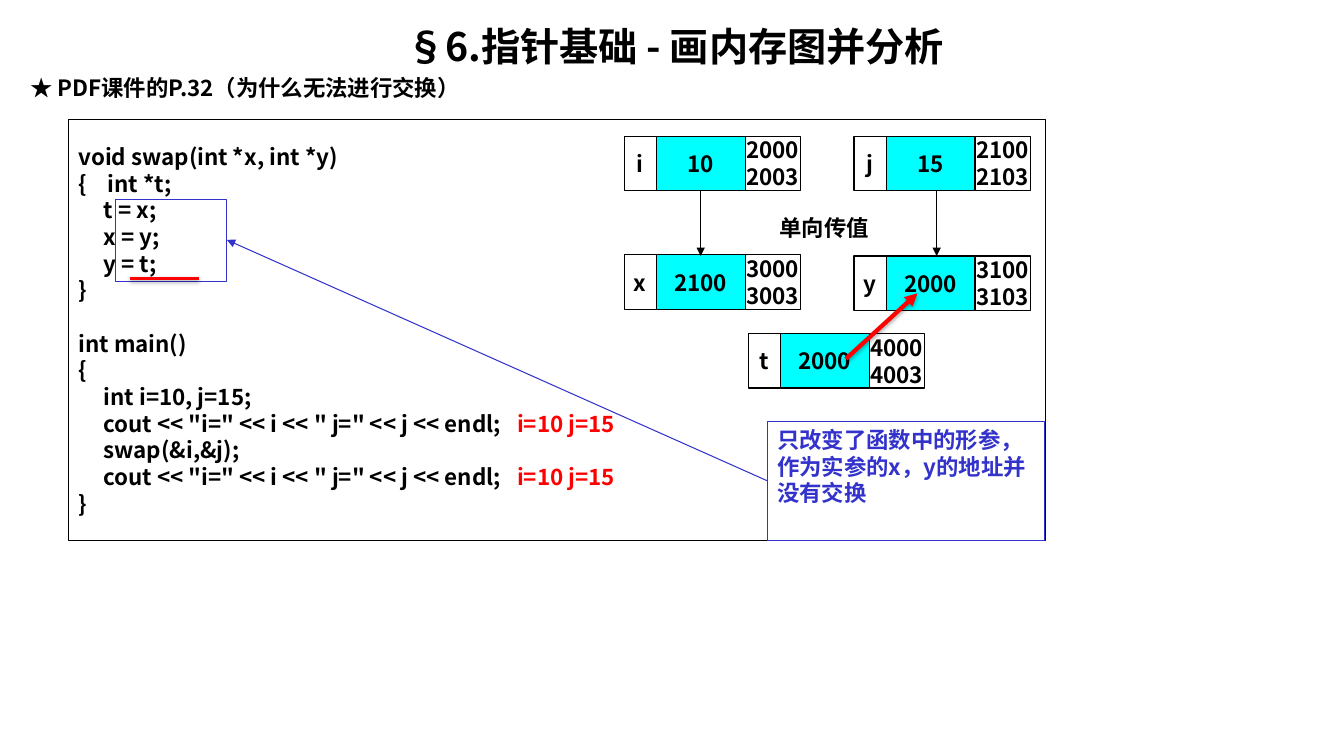
from dataclasses import dataclass
from typing import Any, NamedTuple

from lxml.etree import SubElement
from pptx import Presentation
from pptx.dml.color import RGBColor
from pptx.enum.shapes import MSO_CONNECTOR as Connector, MSO_SHAPE as Preset
from pptx.enum.text import MSO_ANCHOR as Anchor, MSO_AUTO_SIZE as AutoSize, PP_ALIGN as Align
from pptx.oxml.ns import qn
from pptx.util import Emu, Pt

EMU_PER_PX = 9144


@dataclass(frozen=True)
class Theme:
    black: str = "000000"
    red: str = "FF0000"
    blue: str = "3333CC"
    cyan: str = "00FFFF"
    font: str = "Noto Sans CJK SC"
    label_font: str = "Times New Roman"
    title_size: int = 28
    text_size: int = 16
    line_height: float = 1.19
    thin: float = 0.75


THEME = Theme()


class Box(NamedTuple):
    left: int
    top: int
    width: int
    height: int


class Line(NamedTuple):
    start: tuple[int, int]
    end: tuple[int, int]
    color: str = THEME.black
    weight: float = THEME.thin
    arrow: bool = True
    shadow: tuple[int, float] | None = None


class Variable(NamedTuple):
    name: str
    value: str
    first: str
    last: str
    left: int
    top: int


class CodeLine(NamedTuple):
    text: str
    stops: tuple[int, ...] = ()
    result: str = ""
    gap_above: bool = False


INDENT = (25, 435)
COUT = '\tcout << "i=" << i << " j=" << j << endl;'
RESULT = "i=10 j=15"
CODE = [
    CodeLine("void swap(int *x, int *y)"),
    CodeLine("{\tint *t;", (29,)),
    CodeLine("\tt = x;", INDENT),
    CodeLine("\tx = y;", INDENT),
    CodeLine("\ty = t;", INDENT),
    CodeLine("}"),
    CodeLine("int main()", gap_above=True),
    CodeLine("{"),
    CodeLine("\tint i=10, j=15;", INDENT),
    CodeLine(COUT, INDENT, RESULT),
    CodeLine("\tswap(&i,&j);", INDENT),
    CodeLine(COUT, INDENT, RESULT),
    CodeLine("}"),
]
VARIABLES = [
    Variable("i", "10", "2000", "2003", 619, 135),
    Variable("j", "15", "2100", "2103", 847, 135),
    Variable("x", "2100", "3000", "3003", 619, 253),
    Variable("y", "2000", "3100", "3103", 847, 254),
    Variable("t", "2000", "4000", "4003", 742, 331),
]
CELL_HEIGHT = 54
LINES = [
    Line((695, 189), (695, 254)),
    Line((929, 189), (929, 254)),
    Line((761, 477), (225, 238), THEME.blue),
    Line((129, 276), (197, 276), THEME.red, 2, False, (38, 1.6)),
    Line((839, 356), (910, 291), THEME.red, 3, True, (35, 1.8)),
]


def px(length: int) -> Emu:
    return Emu(length * EMU_PER_PX)


def apply(target: Any, formats: dict[str, Any]) -> None:
    for name, value in formats.items():
        setattr(target, name, value)


def add_run(paragraph: Any, text: str, color: str, size: int, font: str) -> None:
    run = paragraph.add_run()
    run.text = text
    apply(run.font, {"name": font, "size": Pt(size), "bold": True})
    run.font.color.rgb = RGBColor.from_string(color)
    SubElement(run.font._element, qn("a:ea"), typeface=THEME.font)


def format_paragraph(paragraph: Any, align: Align, size: int, gap: float = 0) -> None:
    apply(paragraph, {
        "alignment": align,
        "line_spacing": Pt(size * THEME.line_height),
        "space_before": Pt(gap),
        "space_after": Pt(0),
    })


def write(shape: Any, lines: list[str], align: Align, anchor: Anchor, wrap: bool = True,
          color: str = THEME.black, size: int = THEME.text_size, font: str = THEME.font) -> None:
    frame = shape.text_frame
    apply(frame, {"word_wrap": wrap, "auto_size": AutoSize.NONE, "vertical_anchor": anchor})
    for index, line in enumerate(lines):
        paragraph = frame.add_paragraph() if index else frame.paragraphs[0]
        format_paragraph(paragraph, align, size)
        add_run(paragraph, line, color, size, font)


def add_box(slide: Any, box: Box, outline: str = THEME.black, fill: str | None = None) -> Any:
    shape = slide.shapes.add_shape(Preset.RECTANGLE, *map(px, box))
    shape.shadow.inherit = False
    if fill:
        shape.fill.solid()
        shape.fill.fore_color.rgb = RGBColor.from_string(fill)
    else:
        shape.fill.background()
    shape.line.color.rgb = RGBColor.from_string(outline)
    shape.line.width = Pt(THEME.thin)
    return shape


def add_variable(slide: Any, variable: Variable) -> None:
    left = variable.left
    cells = [
        (32, None, [variable.name]),
        (88, THEME.cyan, [variable.value]),
        (55, None, [variable.first, variable.last]),
    ]
    for width, fill, lines in cells:
        cell = add_box(slide, Box(left, variable.top, width, CELL_HEIGHT), fill=fill)
        write(cell, lines, Align.CENTER, Anchor.MIDDLE, wrap=False)
        left += width


def add_line(slide: Any, line: Line) -> None:
    connector = slide.shapes.add_connector(Connector.STRAIGHT, *map(px, line.start + line.end))
    connector.line.color.rgb = RGBColor.from_string(line.color)
    connector.line.width = Pt(line.weight)
    if line.arrow:
        SubElement(connector.line._get_or_add_ln(), qn("a:tailEnd"), type="triangle")
    effects = SubElement(connector._element.spPr, qn("a:effectLst"))
    if line.shadow:
        opacity, distance = line.shadow
        shadow = SubElement(effects, qn("a:outerShdw"), blurRad=str(Pt(3.1)),
                            dist=str(Pt(distance)), dir="5400000", rotWithShape="0")
        color = SubElement(shadow, qn("a:srgbClr"), val=THEME.black)
        SubElement(color, qn("a:alpha"), val=str(opacity * 1000))


def add_code(slide: Any) -> None:
    frame = add_box(slide, Box(68, 119, 969, 417)).text_frame
    apply(frame, {"word_wrap": True, "vertical_anchor": Anchor.MIDDLE})
    size = THEME.text_size
    for index, line in enumerate(CODE):
        paragraph = frame.add_paragraph() if index else frame.paragraphs[0]
        gap = size * THEME.line_height if line.gap_above else 0
        format_paragraph(paragraph, Align.LEFT, size, gap)
        if line.stops:
            tabs = SubElement(paragraph._p.get_or_add_pPr(), qn("a:tabLst"))
            for stop in line.stops:
                SubElement(tabs, qn("a:tab"), pos=str(px(stop)), algn="l")
        add_run(paragraph, line.text, THEME.black, size, THEME.font)
        if line.result:
            add_run(paragraph, "\t" + line.result, THEME.red, size, THEME.font)


def place(shape: Any, box: Box) -> None:
    apply(shape, dict(zip(box._fields, map(px, box))))


def main() -> None:
    presentation = Presentation()
    apply(presentation, {"slide_width": px(1333), "slide_height": px(750)})
    slide = presentation.slides.add_slide(presentation.slide_layouts[0])
    title, subtitle = slide.placeholders
    place(title, Box(20, 18, 1299, 52))
    write(title, ["§6.指针基础 - 画内存图并分析"], Align.CENTER, Anchor.TOP, size=THEME.title_size)
    place(subtitle, Box(20, 69, 1299, 40))
    write(subtitle, ["★ PDF课件的P.32（为什么无法进行交换）"], Align.LEFT, Anchor.TOP)
    add_code(slide)
    for variable in VARIABLES:
        add_variable(slide, variable)
    label = slide.shapes.add_textbox(*map(px, Box(771, 202, 93, 47)))
    write(label, ["单向传值"], Align.CENTER, Anchor.MIDDLE, wrap=False, font=THEME.label_font)
    callout = add_box(slide, Box(761, 418, 275, 118), THEME.blue)
    write(callout, ["只改变了函数中的形参，作为实参的x，y的地址并没有交换"],
          Align.LEFT, Anchor.TOP, color=THEME.blue)
    add_box(slide, Box(115, 198, 110, 81), THEME.blue)
    for line in LINES:
        add_line(slide, line)
    presentation.save("out.pptx")


if __name__ == "__main__":
    main()
